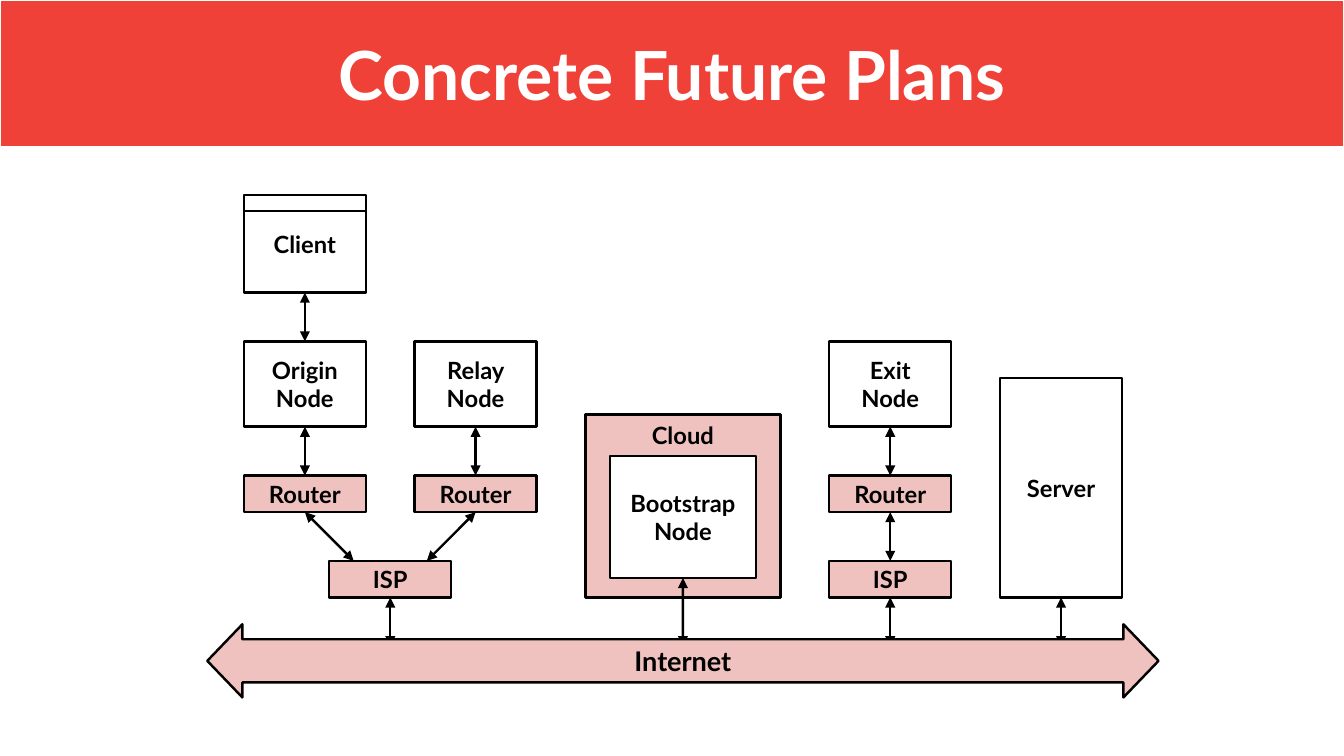
"""Build the network diagram slide "Concrete Future Plans"."""
from dataclasses import dataclass

from lxml import etree
from pptx import Presentation
from pptx import util as u
from pptx.dml.color import RGBColor
from pptx.enum import shapes, text
from pptx.oxml import ns


@dataclass(frozen=True)
class Theme:
    font: str = "Lato"
    banner: RGBColor = RGBColor(0xEF, 0x41, 0x38)
    pink: RGBColor = RGBColor(0xEF, 0xC2, 0xBF)
    white: RGBColor = RGBColor(0xFF, 0xFF, 0xFF)
    black: RGBColor = RGBColor(0, 0, 0)
    title: u.Pt = u.Pt(40)
    bus: u.Pt = u.Pt(16)
    label: u.Pt = u.Pt(14)
    stroke: u.Pt = u.Pt(1.45)


theme = Theme()
GRID = 2.54
BANNER_H = 1.2
INTERNET_Y = 5.3

prs = Presentation()
prs.slide_width, prs.slide_height = u.Cm(11.02 * GRID), u.Cm(6.2 * GRID)
s = prs.slides.add_slide(prs.slide_layouts[5])


def add_block(label, x, y, w, h, fill, size=theme.label,
              kind=shapes.MSO_SHAPE.RECTANGLE):
    sp = s.shapes.add_shape(kind, *(u.Cm(v * GRID) for v in (x, y, w, h)))
    sp.shadow.inherit = False
    sp.fill.solid()
    sp.fill.fore_color.rgb = fill
    sp.line.color.rgb = theme.black
    sp.line.width = theme.stroke
    tf = sp.text_frame
    tf.word_wrap = True
    tf.vertical_anchor = text.MSO_ANCHOR.MIDDLE
    p = tf.paragraphs[0]
    p.text = label
    p.alignment = text.PP_ALIGN.CENTER
    p.font.name, p.font.size, p.font.bold = theme.font, size, True
    p.font.color.rgb = theme.black
    return sp


def add_line(x1, y1, x2, y2, arrows=True):
    line = s.shapes.add_connector(
        shapes.MSO_CONNECTOR.STRAIGHT, *(u.Cm(v * GRID) for v in (x1, y1, x2, y2)))
    line.line.color.rgb = theme.black
    line.line.width = theme.stroke
    if arrows:
        ln = line.line._get_or_add_ln()
        for end in ("a:headEnd", "a:tailEnd"):
            etree.SubElement(ln, ns.qn(end), type="triangle")
    etree.SubElement(line._element.spPr, ns.qn("a:effectLst"))
    return line


title = s.shapes.title
title.left, title.top = 0, 0
title.width, title.height = prs.slide_width, u.Cm(BANNER_H * GRID)
title.fill.solid()
title.fill.fore_color.rgb = theme.banner
title.line.color.rgb = theme.white
title.line.width = 0
tf = title.text_frame
tf.auto_size = text.MSO_AUTO_SIZE.NONE
tf.vertical_anchor = text.MSO_ANCHOR.MIDDLE
p = tf.paragraphs[0]
p.text = "Concrete Future Plans"
p.alignment = text.PP_ALIGN.CENTER
p.font.name, p.font.size, p.font.bold = theme.font, theme.title, True
p.font.color.rgb = theme.white

cloud = add_block("Cloud", 4.8, 3.4, 1.6, 1.5, theme.pink)
cloud.text_frame.vertical_anchor = text.MSO_ANCHOR.TOP
bootstrap = add_block("Bootstrap Node", 5, 3.74, 1.2, 1, theme.white)
server = add_block("Server", 8.2, 3.1, 1, 1.8, theme.white)
client = add_block("Client", 2, 1.6, 1, 0.8, theme.white)
add_line(2, 1.73, 3, 1.73, arrows=False)

nodes, routers = {}, {}
for name, x in (("Origin", 2), ("Relay", 3.4), ("Exit", 6.8)):
    nodes[name] = add_block(f"{name} Node", x, 2.8, 1, 0.7, theme.white)
    routers[name] = add_block("Router", x, 3.9, 1, 0.3, theme.pink)
home_isp, exit_isp = (add_block("ISP", x, 4.6, 1, 0.3, theme.pink)
                      for x in (2.7, 6.8))

links = [(client, nodes["Origin"]), (routers["Exit"], exit_isp)]
links += [(nodes[name], routers[name]) for name in nodes]
for upper, lower in links:
    link = add_line(0, 0, 1, 1)
    link.begin_connect(upper, 2)
    link.end_connect(lower, 0)

for name, isp_x, router_x in (("Origin", 2.9, 2.5), ("Relay", 3.5, 3.9)):
    add_line(isp_x, 4.6, router_x, 4.2).end_connect(routers[name], 2)

for block, x in ((home_isp, 3.2), (bootstrap, 5.6), (exit_isp, 7.3), (server, 8.7)):
    add_line(x, 4.9, x, INTERNET_Y).begin_connect(block, 2)

internet = add_block("Internet", 1.7, 5.12, 7.8, 0.6, theme.pink, theme.bus,
                     shapes.MSO_SHAPE.LEFT_RIGHT_ARROW)
internet.adjustments[0], internet.adjustments[1] = 0.59, 0.48

prs.save("out.pptx")
